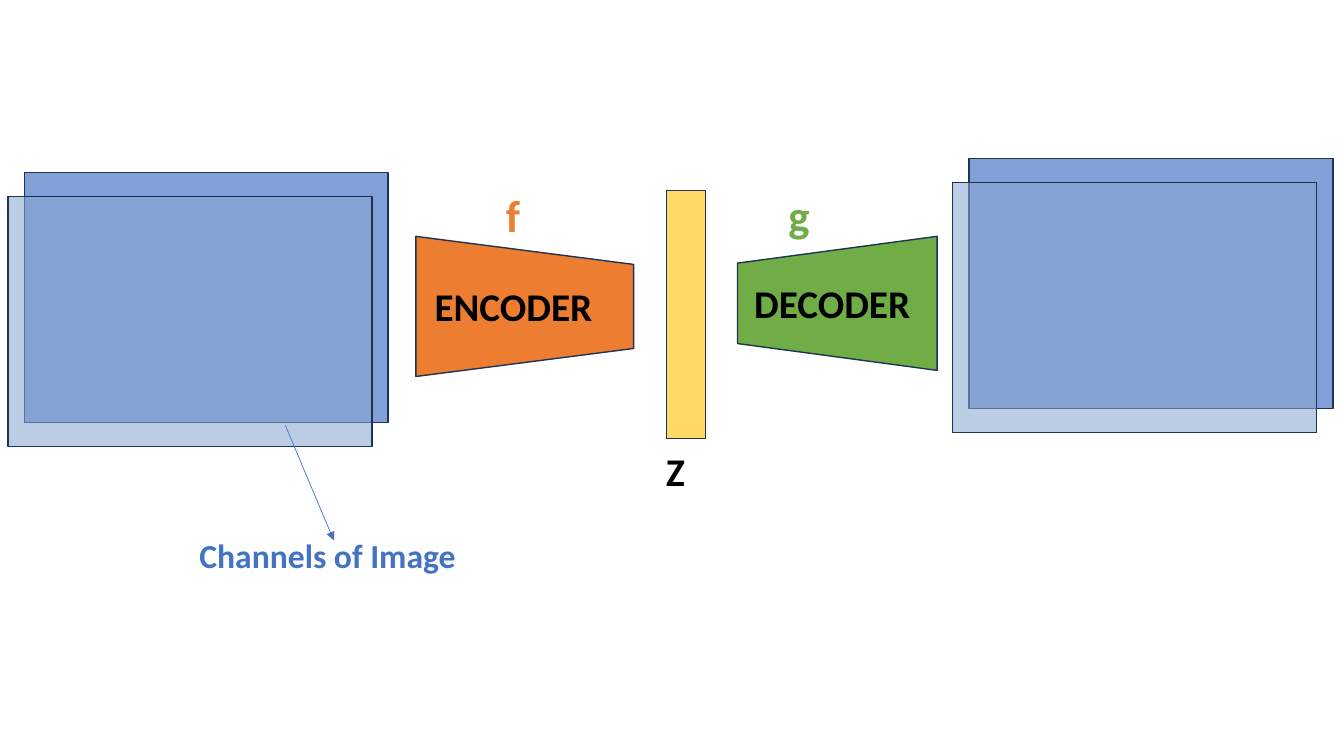
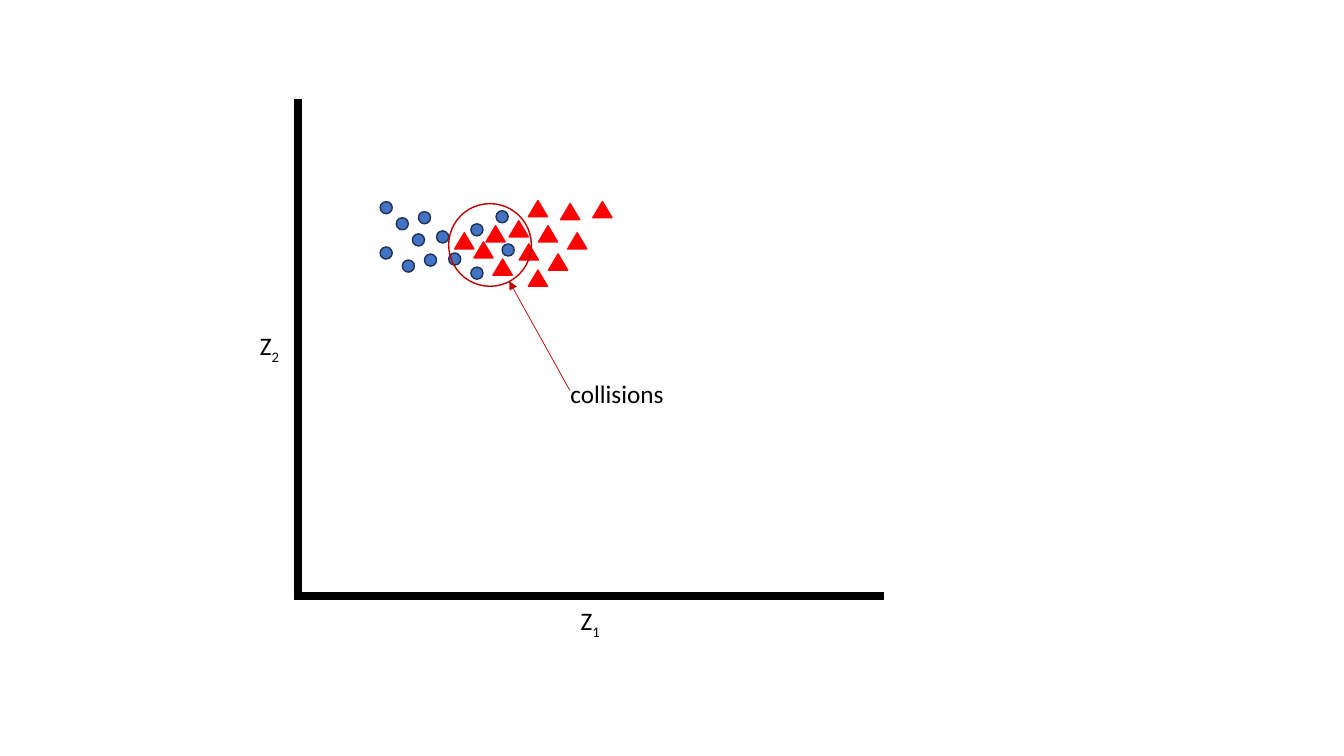
from lxml import etree
from pptx import Presentation
from pptx import util as u
from pptx.dml.color import RGBColor
from pptx.enum import shapes, text
from pptx.oxml.ns import qn

BLUE, NAVY, PALE_BLUE = "4472C4", "1E3256", "87A7D0"
ORANGE, GREEN, YELLOW = "ED7D31", "70AD47", "FFD966"
RED, DARK_RED, BLACK, WHITE = "FF0000", "C00000", "000000", "FFFFFF"
FORM = shapes.MSO_SHAPE


def color(hex_code):
    return RGBColor.from_string(hex_code)


class Deck:
    font = "Calibri"
    outline = 1
    arrow_width = 0.5

    def __init__(self):
        self.prs = Presentation()
        self.prs.slide_width = u.Inches(13.33)
        self.prs.slide_height = u.Inches(7.5)
        self.slide = None

    def new_slide(self):
        self.slide = self.prs.slides.add_slide(self.prs.slide_layouts[6])

    def shape(self, form, box, fill=None, line=NAVY, opacity=100, rotation=0):
        item = self.slide.shapes.add_shape(form, *map(u.Inches, box))
        item.shadow.inherit = False
        item.rotation = rotation
        item.line.color.rgb = color(line)
        item.line.width = u.Pt(self.outline)
        if fill is None:
            item.fill.background()
        else:
            item.fill.solid()
            item.fill.fore_color.rgb = color(fill)
        if opacity < 100:
            tint = item._element.spPr.find(qn("a:solidFill"))[0]
            etree.SubElement(tint, qn("a:alpha")).set("val", str(opacity * 1000))
        return item

    def label(self, words, box, size, ink=BLACK, bold=False, insets=(0.1, 0.05),
              align=None, subscript=None):
        item = self.slide.shapes.add_textbox(*map(u.Inches, box))
        frame = item.text_frame
        frame.word_wrap = True
        frame.auto_size = text.MSO_AUTO_SIZE.SHAPE_TO_FIT_TEXT
        frame.margin_left = frame.margin_right = u.Inches(insets[0])
        frame.margin_top = frame.margin_bottom = u.Inches(insets[1])
        paragraph = frame.paragraphs[0]
        paragraph.alignment = align
        font = paragraph.font
        font.name, font.size, font.bold = self.font, u.Pt(size), bold
        font.color.rgb = color(ink)
        paragraph.add_run().text = words
        if subscript:
            index = paragraph.add_run()
            index.text = subscript
            index._r.get_or_add_rPr().set("baseline", "-25000")
        return paragraph

    def arrow(self, start, end, ink):
        item = self.slide.shapes.add_connector(
            shapes.MSO_CONNECTOR.STRAIGHT, *map(u.Inches, start + end))
        item.line.color.rgb = color(ink)
        item.line.width = u.Pt(self.arrow_width)
        properties = item._element.spPr
        etree.SubElement(properties.find(qn("a:ln")), qn("a:tailEnd")).set("type", "triangle")
        etree.SubElement(properties, qn("a:effectLst"))

    def channels(self, left, top):
        width, height = 3.61, 2.48
        self.shape(FORM.RECTANGLE, (left, top, width, height), BLUE, opacity=67)
        self.shape(FORM.RECTANGLE, (left - 0.16, top + 0.24, width, height),
                   PALE_BLUE, opacity=56)

    def points(self, form, size, corners, fill, line):
        for corner in corners:
            self.shape(form, corner + size, fill, line)


def autoencoder(deck):
    deck.new_slide()
    heading = dict(size=28, bold=True, insets=(0.07, 0.03))
    deck.channels(0.24, 1.71)
    deck.shape(FORM.FLOWCHART_MANUAL_OPERATION, (4.51, 1.96, 1.39, 2.16), ORANGE, rotation=270)
    deck.label("ENCODER", (4.24, 2.77, 1.93, 0.54), **heading)
    deck.shape(FORM.RECTANGLE, (6.61, 1.89, 0.39, 2.46), YELLOW)
    latent = deck.label("Z ", (6.16, 4.35, 1.27, 0.61), align=text.PP_ALIGN.CENTER, **heading)
    spacer = latent.add_run()
    spacer.text = " "
    spacer.font.size = u.Pt(32)
    deck.shape(FORM.FLOWCHART_MANUAL_OPERATION, (7.64, 2.02, 1.33, 1.98), GREEN, rotation=90)
    deck.label("DECODER", (7.41, 2.74, 1.96, 0.54), **heading)
    deck.channels(9.61, 1.57)
    deck.arrow((2.83, 4.22), (3.31, 5.36), BLUE)
    deck.label("Channels of Image", (1.88, 5.26, 3.23, 0.5), 24, BLUE, bold=True)
    for function, left, ink in (("f", 4.92, ORANGE), ("g", 7.72, GREEN)):
        deck.label(function, (left, 1.81, 0.58, 0.64), 32, ink, bold=True)


def latent_space(deck):
    deck.new_slide()
    axes = deck.shape(FORM.RECTANGLE, (2.92, 0.99, 5.84, 4.96), BLACK, BLACK)
    plot_area = deck.shape(FORM.RECTANGLE, (3, 0.91, 5.84, 4.96), WHITE, WHITE)
    deck.slide.shapes.add_group_shape([axes, plot_area])
    deck.label("Z", (2.48, 3.23, 0.44, 0.4), 18, subscript="2")
    deck.label("Z", (5.66, 5.96, 0.44, 0.42), 18, subscript="1")

    circles = [(3.77, 2), (3.93, 2.16), (4.09, 2.32), (3.77, 2.45), (3.99, 2.58),
               (4.21, 2.52), (4.33, 2.29), (4.15, 2.1), (4.45, 2.51), (4.67, 2.22),
               (4.67, 2.65), (4.98, 2.42), (4.92, 2.09)]
    triangles = [(5.24, 1.99), (4.82, 2.24), (5.05, 2.19), (4.7, 2.4), (4.89, 2.57),
                 (5.15, 2.42), (5.34, 2.24), (5.44, 2.52), (5.24, 2.68), (5.63, 2.31),
                 (5.56, 2.02), (5.88, 2), (4.51, 2.31)]
    deck.points(FORM.OVAL, (0.12, 0.12), circles, BLUE, NAVY)
    deck.points(FORM.ISOSCELES_TRIANGLE, (0.19, 0.16), triangles, RED, RED)

    deck.shape(FORM.OVAL, (4.45, 2.02, 0.82, 0.82), line=DARK_RED)
    deck.arrow((5.65, 3.87), (5.05, 2.79), DARK_RED)
    deck.label("collisions", (5.56, 3.7, 3, 0.4), 18)


def main():
    deck = Deck()
    autoencoder(deck)
    latent_space(deck)
    deck.prs.save("out.pptx")


if __name__ == "__main__":
    main()
